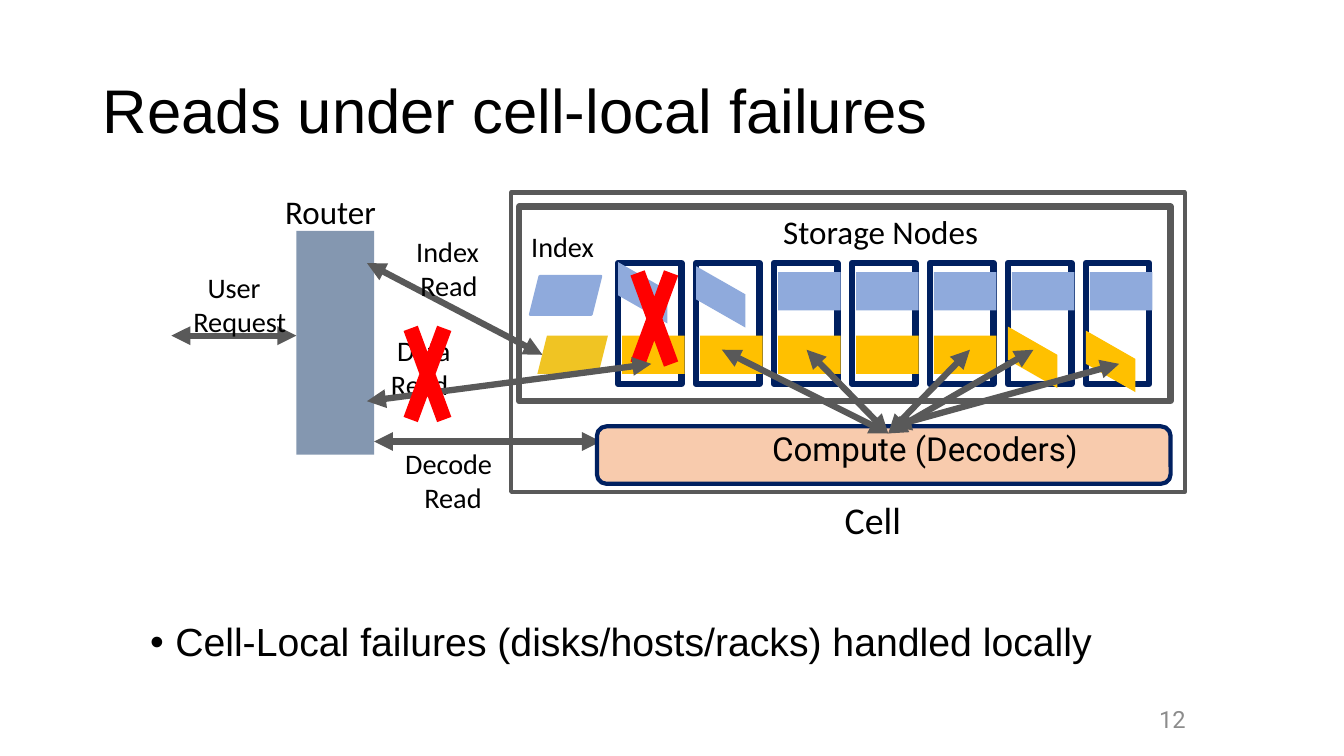
from lxml import etree
from pptx import Presentation
from pptx.dml.color import RGBColor
from pptx.enum.shapes import MSO_CONNECTOR, MSO_SHAPE as Shape
from pptx.enum.text import MSO_ANCHOR as Anchor, MSO_AUTO_SIZE as AutoSize, PP_ALIGN as Align
from pptx.oxml.ns import qn
from pptx.util import Inches, Pt

BLACK = RGBColor(0x00, 0x00, 0x00)
GREY = RGBColor(0x59, 0x59, 0x59)
PAGE_GREY = RGBColor(0x8C, 0x8C, 0x8C)
NAVY = RGBColor(0x00, 0x20, 0x60)
SLATE = RGBColor(0x84, 0x97, 0xB0)
BLUE = RGBColor(0x8F, 0xAA, 0xDC)
GOLD = RGBColor(0xFF, 0xC0, 0x00)
INDEX_GOLD = RGBColor(0xF0, 0xC4, 0x23)
PEACH = RGBColor(0xF8, 0xCB, 0xAD)
RED = RGBColor(0xFF, 0x00, 0x00)

NODE_COUNT = 7
NODE_LEFT = 6.13
NODE_PITCH = (10.77 - NODE_LEFT) / (NODE_COUNT - 1)
# Top-left of a chunk's row, for sound and failed chunks.
BLUE_TOP, GOLD_TOP = 2.7, 3.33
FAILED_BLUE = {0: 2.6, 1: 2.64}
FAILED_GOLD = {5: 3.24, 6: 3.28}


def write_text(frame, text, size=20.2, font="Calibri", color=BLACK, align=Align.LEFT,
               anchor=Anchor.TOP, spacing=None, indents=(), bullet=None, insets=None):
    """Fill a frame, one paragraph per line; indents gives each line's left margin in inches."""
    frame.vertical_anchor = anchor
    if insets:
        frame.margin_left = frame.margin_right = Inches(insets[0])
        frame.margin_top = frame.margin_bottom = Inches(insets[1])
    for number, line in enumerate(text.split("\n")):
        paragraph = frame.paragraphs[0] if number == 0 else frame.add_paragraph()
        properties = paragraph._p.get_or_add_pPr()
        if indents:
            properties.set("marL", str(Inches(indents[number])))
        if bullet:
            properties.set("indent", str(-Inches(indents[number])))
            etree.SubElement(properties, qn("a:buFont")).set("typeface", "Arial")
            etree.SubElement(properties, qn("a:buChar")).set("char", bullet)
        paragraph.alignment = align
        if spacing:
            paragraph.line_spacing = spacing
        run = paragraph.add_run()
        run.text = line
        run.font.size = Pt(size)
        run.font.name = font
        run.font.color.rgb = color


class Diagram:
    def __init__(self, slide):
        self.slide = slide
        self.shapes = slide.shapes

    def title(self, text, left, top, width, height):
        title = self.shapes.title
        title.left, title.top = Inches(left), Inches(top)
        title.width, title.height = Inches(width), Inches(height)
        write_text(title.text_frame, text, size=44, font="Arial", anchor=Anchor.MIDDLE, spacing=0.9)

    def label(self, text, left, top, width, height, wrap=False, **style):
        box = self.shapes.add_textbox(Inches(left), Inches(top), Inches(width), Inches(height))
        box.text_frame.word_wrap = wrap
        box.text_frame.auto_size = AutoSize.NONE if wrap else AutoSize.SHAPE_TO_FIT_TEXT
        write_text(box.text_frame, text, **style)

    def paint(self, shape, fill=None, line=None, weight=4.5):
        shape.shadow.inherit = False
        if fill is None:
            shape.fill.background()
        else:
            shape.fill.solid()
            shape.fill.fore_color.rgb = fill
        if line is None:
            shape.line.fill.background()
        else:
            shape.line.color.rgb = line
            shape.line.width = Pt(weight)
        return shape

    def block(self, left, top, width, height, kind=Shape.RECTANGLE, **look):
        shape = self.shapes.add_shape(kind, Inches(left), Inches(top), Inches(width), Inches(height))
        return self.paint(shape, **look)

    def failed_chunk(self, left, top, fill):
        """Draw a chunk skewed downwards to the right."""
        outline = self.shapes.build_freeform(Inches(left), Inches(top))
        corners = [(0.49, 0.28), (0.49, 0.61), (0, 0.33)]
        outline.add_line_segments([(Inches(left + x), Inches(top + y)) for x, y in corners])
        self.paint(outline.convert_to_shape(), fill=fill)

    def cross(self, left, top):
        self.block(left, top, 0.64, 1.74, Shape.MATH_MULTIPLY, fill=RED)

    def arrow(self, start, end):
        """Draw a line with an arrowhead at both ends."""
        ends = [Inches(value) for value in (*start, *end)]
        connector = self.shapes.add_connector(MSO_CONNECTOR.STRAIGHT, *ends)
        connector.line.color.rgb = GREY
        connector.line.width = Pt(4.5)
        line = connector.line._get_or_add_ln()
        for tip in ("a:headEnd", "a:tailEnd"):
            etree.SubElement(line, qn(tip)).set("type", "triangle")
        etree.SubElement(connector._element.spPr, qn("a:effectLst"))

    def chunk_row(self, top, fill, failed):
        for node in range(NODE_COUNT):
            left = NODE_LEFT + node * NODE_PITCH
            if node in failed:
                self.failed_chunk(left, failed[node], fill)
            else:
                self.block(left + 0.04, top, 0.62, 0.38, fill=fill)


def main():
    deck = Presentation()
    deck.slide_width, deck.slide_height = Inches(13.33), Inches(7.5)
    diagram = Diagram(deck.slides.add_slide(deck.slide_layouts[5]))
    diagram.title("Reads under cell-local failures", 0.92, 0.4, 11.5, 1.45)

    # Router and its requests
    diagram.block(2.94, 2.29, 0.77, 2.22, fill=SLATE)
    diagram.label("Router", 2.73, 1.85, 1.11, 0.5, size=23.6)
    diagram.arrow((3.64, 2.61), (5.38, 3.52))
    diagram.label("Index\nRead", 3.88, 2.27, 0.98, 0.78, indents=(0.15, 0.19))
    diagram.arrow((3.71, 4.38), (5.96, 4.38))
    diagram.label("Decode\nRead", 3.92, 4.38, 1.08, 0.78, indents=(0, 0.19))
    diagram.label("Cell-Local failures (disks/hosts/racks) handled locally", 1.39, 6.13, 10.41, 0.65,
                  wrap=True, size=28, font="Arial", spacing=0.9, indents=(0.25,), bullet="•")

    # Cell with its decoders and storage nodes
    decoders = diagram.block(5.92, 4.23, 5.69, 0.57, Shape.ROUNDED_RECTANGLE,
                             fill=PEACH, line=NAVY, weight=3)
    write_text(decoders.text_frame, "Compute (Decoders)", size=23.6, font="Roboto",
               spacing=0.9, indents=(1.63,), insets=(0.08, 0.04))
    diagram.label("Storage Nodes", 7.67, 2.05, 2.16, 0.5, size=23.6)
    diagram.block(5.07, 1.91, 6.68, 2.97, line=GREY, weight=3)
    diagram.block(5.15, 2.05, 6.46, 1.93, line=GREY)
    diagram.label("Index", 5.17, 2.23, 0.9, 0.44)
    for node in range(NODE_COUNT):
        diagram.block(NODE_LEFT + node * NODE_PITCH, 2.61, 0.63, 1.2, line=NAVY)
    diagram.chunk_row(GOLD_TOP, GOLD, FAILED_GOLD)
    diagram.chunk_row(BLUE_TOP, BLUE, FAILED_BLUE)
    diagram.cross(6.17, 2.29)
    diagram.arrow((1.7, 3.33), (2.94, 3.33))
    diagram.label("User\nRequest", 1.82, 2.63, 1.14, 0.78, indents=(0.14, 0))
    diagram.label("Cell", 8.28, 4.88, 0.77, 0.56, size=27)

    # Reads that feed the decoders
    for chunk_x in (10.25, 7.16, 8, 9.62):
        diagram.arrow((chunk_x, 3.47), (8.81, 4.3))
    diagram.arrow((11.1, 3.61), (8.85, 4.23))

    diagram.label("12", 9.14, 6.95, 2.7, 0.4, wrap=True, size=16.9, font="Roboto", color=PAGE_GREY,
                  align=Align.RIGHT, anchor=Anchor.MIDDLE, spacing=0.9, insets=(0.08, 0.04))

    # Failed data read and the index entries
    diagram.label("Data\nRead", 3.78, 3.26, 0.84, 0.78, wrap=True, indents=(0.06, 0))
    diagram.block(5.33, 3.33, 0.7, 0.38, Shape.PARALLELOGRAM, fill=INDEX_GOLD)
    diagram.block(5.26, 2.74, 0.7, 0.38, Shape.PARALLELOGRAM, fill=BLUE, line=BLUE, weight=2)
    diagram.arrow((3.64, 3.98), (6.46, 3.61))
    diagram.cross(3.92, 2.84)
    deck.save("out.pptx")


if __name__ == "__main__":
    main()
